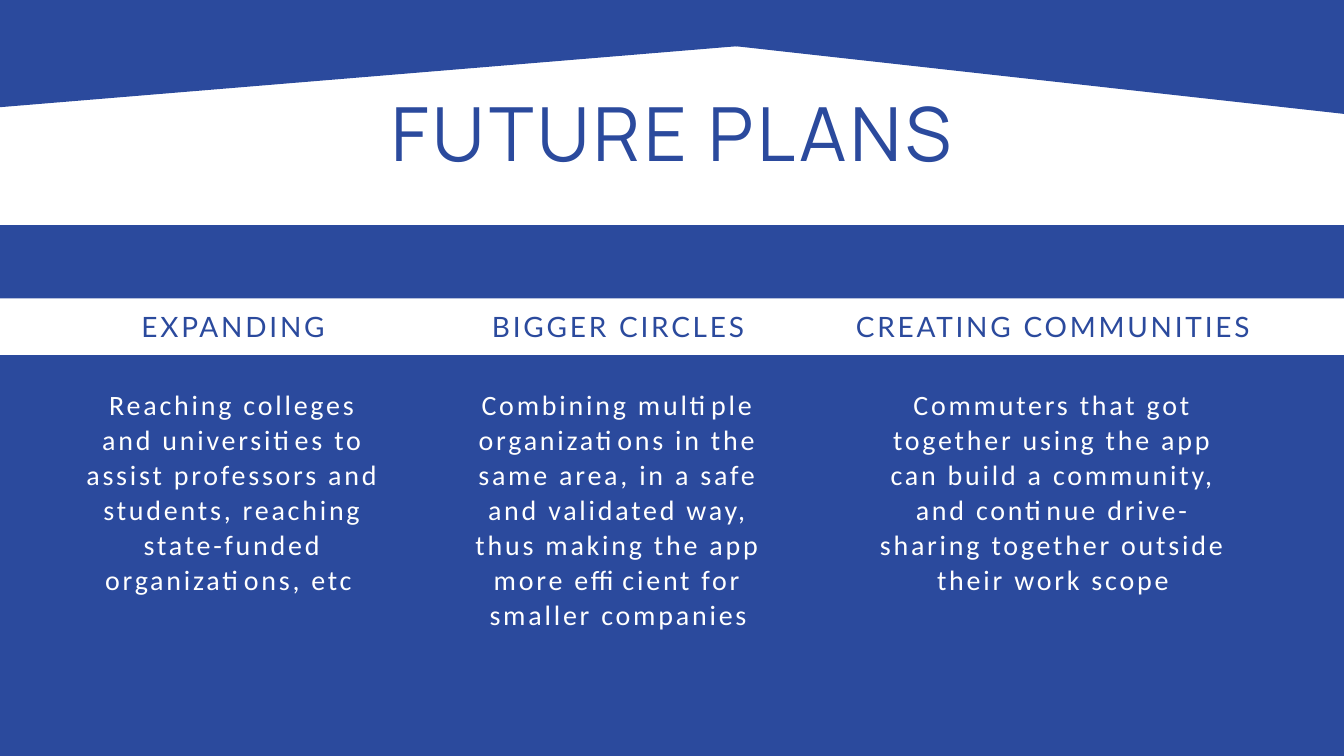
from dataclasses import dataclass

from pptx import Presentation
from pptx.dml.color import RGBColor
from pptx.enum.shapes import MSO_SHAPE as Shape
from pptx.enum.text import MSO_ANCHOR as Anchor, MSO_AUTO_SIZE as AutoSize, PP_ALIGN as Align
from pptx.util import Inches, Pt


@dataclass(frozen=True)
class TextStyle:
    font: str
    size: float
    line: float
    tracking: float
    color: RGBColor


class Theme:
    blue = RGBColor.from_string("2B4A9D")
    white = RGBColor.from_string("FFFFFF")
    title = TextStyle("Manrope", 80, 84, 4, blue)
    heading = TextStyle("Lato", 30, 42, 3, blue)
    body = TextStyle("Calibri", 30, 37.5, 3, white)


WIDTH, HEIGHT = 20, 11.25
HEADING_TOP, HEADING_HEIGHT = 4.53, 0.57
BODY_TOP = 5.74

# heading, its left and width, body, its left, width and height
COLUMNS = [
    ("EXPANDING", 0.25, 6.44,
     "Reaching colleges and universities to assist professors and students, "
     "reaching state-funded organizations, etc ", 1.18, 4.58, 3.12),
    ("BIGGER CIRCLES", 6.91, 4.58,
     "Combining multiple organizations in the same area, in a safe and validated way, "
     "thus making the app more efficient for smaller companies", 6.91, 4.58, 3.65),
    ("CREATING COMMUNITIES", 12.47, 6.4,
     "Commuters that got together using the app can build a community, "
     "and continue drive-sharing together outside their work scope", 12.91, 5.52, 3.12),
]


def add_band(page, left, top, height, color, rotation=0):
    """Add a plain bar as wide as the slide."""
    band = page.shapes.add_shape(
        Shape.RECTANGLE, Inches(left), Inches(top), Inches(WIDTH), Inches(height))
    band.shadow.inherit = False
    band.fill.solid()
    band.fill.fore_color.rgb = color
    band.line.fill.background()
    band.rotation = rotation


def write(box, text, style):
    """Fill a box with one centred paragraph, without insets."""
    frame = box.text_frame
    frame.text = text
    frame.word_wrap = True
    frame.auto_size = AutoSize.SHAPE_TO_FIT_TEXT
    frame.vertical_anchor = Anchor.TOP
    frame.margin_left = frame.margin_right = frame.margin_top = frame.margin_bottom = 0
    para = frame.paragraphs[0]
    para.alignment = Align.CENTER
    para.line_spacing = Pt(style.line)
    para.space_before = Pt(0)
    for span in para.runs:
        span.font.name = style.font
        span.font.size = Pt(style.size)
        span.font.color.rgb = style.color
        span.font._element.set("spc", str(int(style.tracking * 100)))


def add_text(page, text, left, top, width, height, style):
    box = page.shapes.add_textbox(Inches(left), Inches(top), Inches(width), Inches(height))
    write(box, text, style)


def set_title(page, text):
    """Place the title placeholder in front of the bands."""
    title = page.shapes.title
    title.left, title.top = Inches(1.62), Inches(1.46)
    title.width, title.height = Inches(16.76), Inches(1.3)
    write(title, text, Theme.title)
    page.shapes._spTree.append(title._element)


def main():
    deck = Presentation()
    deck.slide_width, deck.slide_height = Inches(WIDTH), Inches(HEIGHT)
    page = deck.slides.add_slide(deck.slide_layouts[5])
    page.background.fill.solid()
    page.background.fill.fore_color.rgb = Theme.white

    add_band(page, 0, 3.35, 7.94, Theme.blue)
    add_band(page, 0, 4.44, 0.84, Theme.white)
    add_band(page, 4.16, -0.77, 1.81, Theme.blue, rotation=6.35)
    add_band(page, -4.16, -0.7, 1.81, Theme.blue, rotation=-4.73)

    set_title(page, "FUTURE PLANS")
    for heading, left, width, body, body_left, body_width, body_height in COLUMNS:
        add_text(page, heading, left, HEADING_TOP, width, HEADING_HEIGHT, Theme.heading)
        add_text(page, body, body_left, BODY_TOP, body_width, body_height, Theme.body)

    deck.save("out.pptx")


if __name__ == "__main__":
    main()
